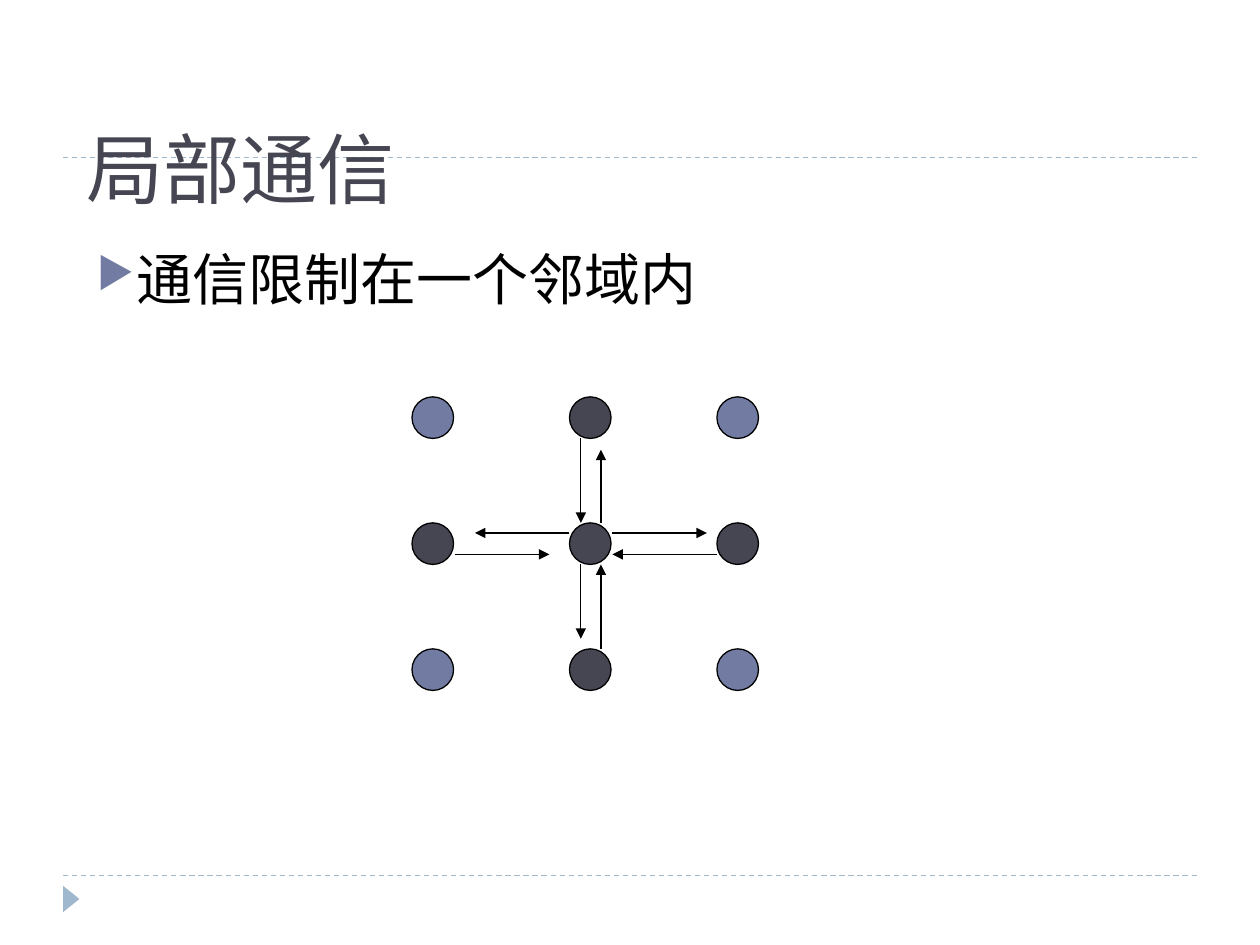
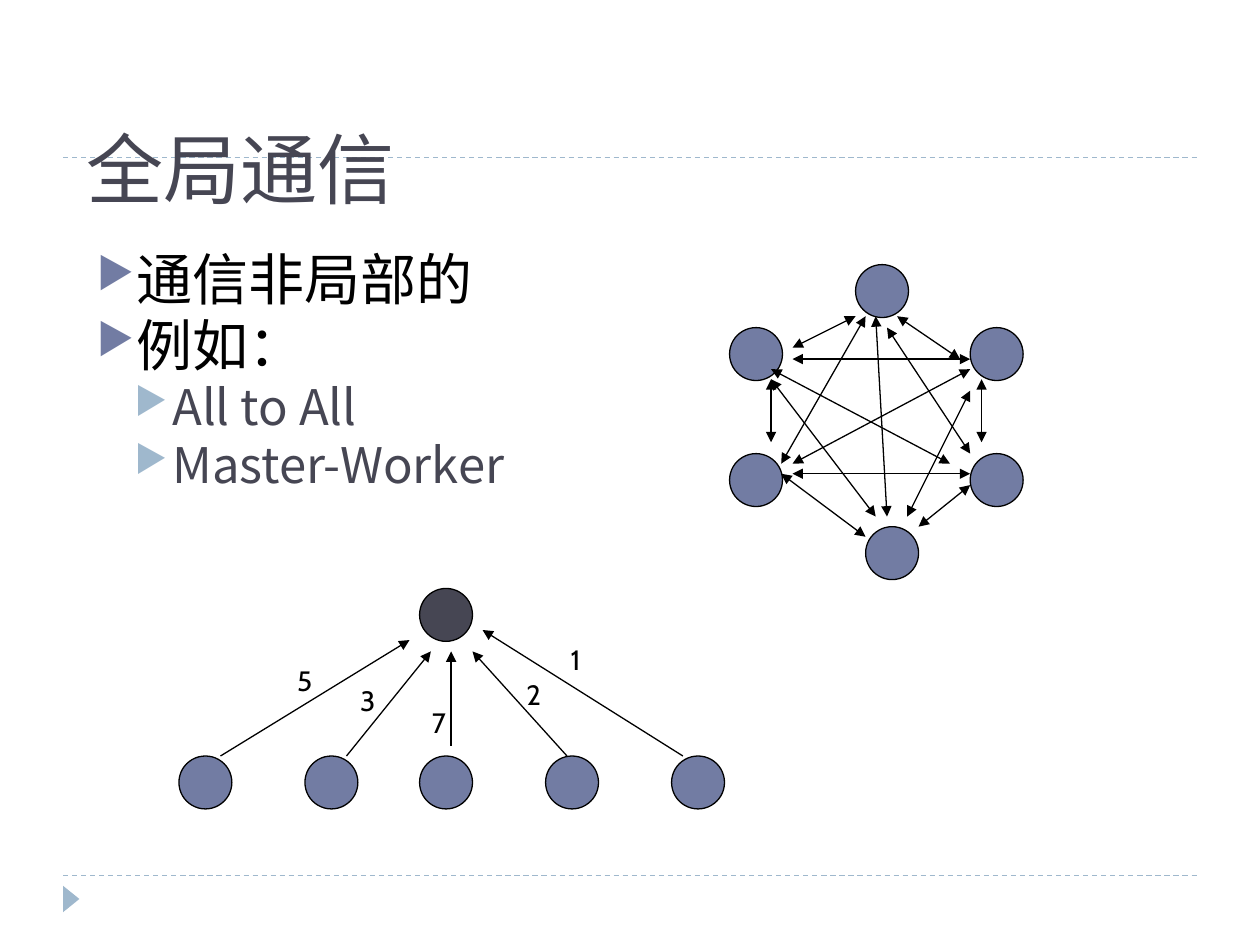
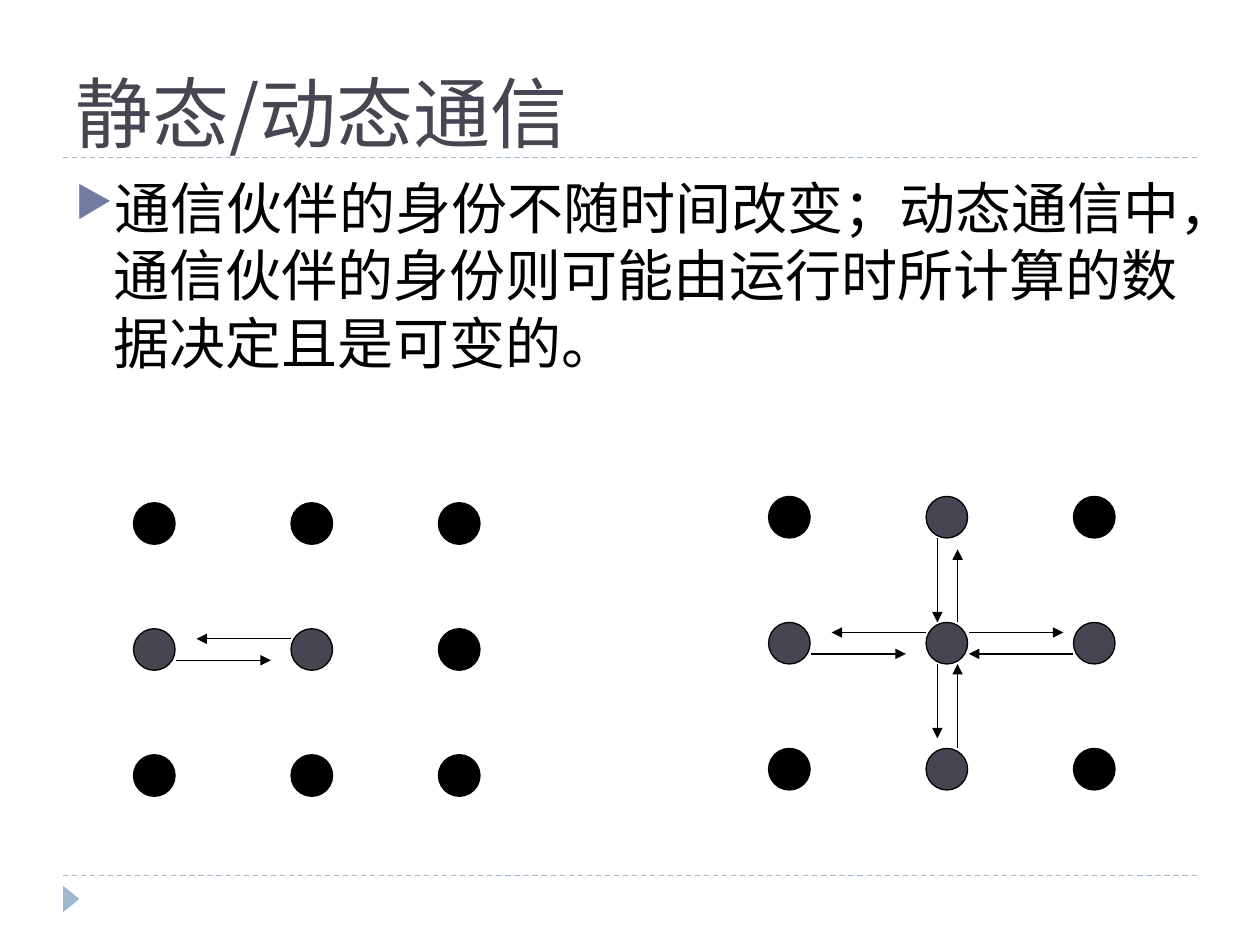
from typing import NamedTuple

from pptx import Presentation
from pptx.dml.color import RGBColor
from pptx.enum.dml import MSO_LINE
from pptx.enum.shapes import MSO_CONNECTOR, MSO_SHAPE
from pptx.enum.text import MSO_ANCHOR
from pptx.oxml.ns import qn
from pptx.shapes.shapetree import GroupShapes
from pptx.slide import Slide
from pptx.util import Inches, Pt
from lxml.etree import SubElement

DARK = RGBColor(0x46, 0x46, 0x53)
BLUE = RGBColor(0x72, 0x7C, 0xA3)
PALE = RGBColor(0x9F, 0xB8, 0xCD)
BLACK = RGBColor(0, 0, 0)
JP, SC = "Noto Sans CJK JP", "Noto Sans CJK SC"
LATIN, LABEL = "Calibri", "Cabin"


class Box(NamedTuple):
    left: float
    top: float
    width: float
    height: float


class Arrow(NamedTuple):
    x1: float
    y1: float
    x2: float
    y2: float


class Level(NamedTuple):
    size: int
    color: RGBColor
    bullet: RGBColor
    indent: float
    before: int


class Item(NamedTuple):
    text: str
    level: int = 0


class Tag(NamedTuple):
    text: str
    left: float
    top: float


LEVELS = [Level(32, BLACK, BLUE, 0.3, 6), Level(28, DARK, PALE, 0.6, 5)]
HIGH = Box(0.5, 0.17, 9, 1.08), Box(0.5, 1.33, 9, 5.4)
LOW = Box(0.59, 0.87, 8.58, 0.83), Box(0.67, 1.94, 8.66, 5.2)

COLS, ROWS = (0, 1.25, 2.42), (0, 1, 2)
LEFT = [Arrow(1.25, 1.08, 0.5, 1.08), Arrow(0.34, 1.25, 1.09, 1.25)]
CROSS = [
    Arrow(1.5, 1, 1.5, 0.42), Arrow(1.34, 0.33, 1.34, 1),
    Arrow(1.59, 1.08, 2.34, 1.08), Arrow(2.42, 1.25, 1.59, 1.25),
    Arrow(1.34, 1.33, 1.34, 1.92), Arrow(1.5, 2, 1.5, 1.33), *LEFT,
]
RING = [(5.79, 2.6), (5.79, 3.6), (6.87, 4.18), (7.7, 3.6), (7.7, 2.6), (6.79, 2.1)]
MESH = [
    Arrow(6.2, 3.68, 6.87, 2.51), Arrow(6.29, 3.68, 7.7, 2.93),
    Arrow(6.29, 3.76, 7.7, 3.76), Arrow(6.2, 3.76, 6.87, 4.26),
    Arrow(6.12, 3.51, 6.12, 3.01), Arrow(6.29, 2.76, 6.79, 2.51),
    Arrow(6.29, 2.85, 7.7, 2.85), Arrow(6.12, 2.93, 7.54, 3.68),
    Arrow(6.12, 3.01, 6.95, 4.1), Arrow(7.12, 2.51, 7.62, 2.85),
    Arrow(7.04, 2.6, 7.7, 3.6), Arrow(6.95, 2.51, 7.04, 4.1),
    Arrow(7.79, 3.01, 7.79, 3.51), Arrow(7.7, 3.85, 7.29, 4.18),
    Arrow(7.7, 3.1, 7.2, 4.1),
]
MASTER, WORKERS = (3.33, 4.67), (5.33, 4.33, 3.33, 2.42, 1.42)
REPLIES = [
    Arrow(1.75, 6, 3.25, 5.08), Arrow(2.75, 6, 3.42, 5.17),
    Arrow(3.58, 5.92, 3.58, 5.17), Arrow(4.5, 6, 3.75, 5.17),
    Arrow(5.42, 6, 3.83, 5),
]
TAGS = [
    Tag("5", 2.26, 5.22), Tag("3", 2.76, 5.38), Tag("7", 3.33, 5.55),
    Tag("2", 4.08, 5.33), Tag("1", 4.43, 5.05),
]


def place(box: Box) -> list:
    return [Inches(side) for side in box]


def add_line(shapes, arrow: Arrow, color: RGBColor = BLACK, ends: tuple = ()):
    line = shapes.add_connector(MSO_CONNECTOR.STRAIGHT, *[Inches(n) for n in arrow])
    line.line.color.rgb = color
    line.line.width = Pt(0.75)
    for end in ends:
        SubElement(line.line._get_or_add_ln(), qn(f"a:{end}"), type="triangle")
    SubElement(line._element.spPr, qn("a:effectLst"))
    return line


def add_dot(shapes: GroupShapes, left: float, top: float, size: float, fill: RGBColor) -> None:
    dot = shapes.add_shape(MSO_SHAPE.OVAL, *place(Box(left, top, size, size)))
    dot.shadow.inherit = False
    dot.fill.solid()
    dot.fill.fore_color.rgb = fill
    dot.line.color.rgb = BLACK
    dot.line.width = Pt(0.75)


def style(para, font: str, size: int, color: RGBColor) -> None:
    for run in para.runs:
        run.font.name = font
        run.font.size = Pt(size)
        run.font.color.rgb = color
        SubElement(run.font._element, qn("a:ea"), typeface=font)


def add_title(slide: Slide, text: str, box: Box, font: str) -> None:
    frame = slide.shapes.add_textbox(*place(box)).text_frame
    frame.word_wrap = True
    frame.vertical_anchor = MSO_ANCHOR.BOTTOM
    frame.margin_bottom = 0
    frame.text = text
    style(frame.paragraphs[0], font, 44, DARK)


def add_body(slide: Slide, items: list[Item], box: Box, font: str) -> None:
    frame = slide.shapes.add_textbox(*place(box)).text_frame
    frame.word_wrap = True
    frame.text = "\n".join(item.text for item in items)
    for para, item in zip(frame.paragraphs, items):
        level = LEVELS[item.level]
        para.level = item.level
        para.space_before = Pt(level.before)
        if font == JP:
            para.line_spacing = 0.83
            frame.margin_top = Inches(0.09)
        props = para._p.get_or_add_pPr()
        props.set("marL", str(Inches(level.indent)))
        props.set("indent", str(Inches(-0.3)))
        tint = SubElement(props, qn("a:buClr"))
        SubElement(tint, qn("a:srgbClr"), val=str(level.bullet))
        SubElement(props, qn("a:buSzPct"), val="76000")
        SubElement(props, qn("a:buChar"), char="▶")
        style(para, font, level.size, level.color)


def add_tag(shapes: GroupShapes, tag: Tag) -> None:
    frame = shapes.add_textbox(*place(Box(tag.left, tag.top, 0.32, 0.37))).text_frame
    frame.word_wrap = False
    frame.text = tag.text
    style(frame.paragraphs[0], LABEL, 16, BLACK)


def add_grid(slide: Slide, left: float, top: float, lit: str, rest: RGBColor,
             arrows: list[Arrow]) -> None:
    shapes = slide.shapes.add_group_shape().shapes
    for row, marks in zip(ROWS, lit.split()):
        for col, mark in zip(COLS, marks):
            add_dot(shapes, left + col, top + row, 0.33, DARK if mark == "x" else rest)
    for x1, y1, x2, y2 in arrows:
        add_line(shapes, Arrow(left + x1, top + y1, left + x2, top + y2), ends=("tailEnd",))


def add_mesh(slide: Slide) -> None:
    shapes = slide.shapes.add_group_shape().shapes
    for left, top in RING:
        add_dot(shapes, left, top, 0.42, BLUE)
    for arrow in MESH:
        add_line(shapes, arrow, ends=("headEnd", "tailEnd"))


def add_tree(slide: Slide) -> None:
    shapes = slide.shapes.add_group_shape().shapes
    add_dot(shapes, *MASTER, 0.42, DARK)
    for left in WORKERS:
        add_dot(shapes, left, 6, 0.42, BLUE)
    for arrow in REPLIES:
        add_line(shapes, arrow, ends=("tailEnd",))
    for tag in TAGS:
        add_tag(shapes, tag)


def add_page(deck, title: str, items: list[Item], boxes: tuple[Box, Box],
             fonts: tuple[str, str]) -> Slide:
    slide = deck.slides.add_slide(deck.slide_layouts[6])
    for y in (6.95, 1.25):
        rule = add_line(slide.shapes, Arrow(0.5, y, 9.5, y), PALE)
        rule.line.dash_style = MSO_LINE.DASH
    mark = slide.shapes.add_shape(MSO_SHAPE.ISOSCELES_TRIANGLE, *place(Box(0.46, 7.07, 0.21, 0.13)))
    mark.rotation = 90
    mark.shadow.inherit = False
    mark.fill.solid()
    mark.fill.fore_color.rgb = PALE
    mark.line.fill.background()
    add_title(slide, title, boxes[0], fonts[0])
    add_body(slide, items, boxes[1], fonts[1])
    return slide


def main() -> None:
    deck = Presentation()
    deck.slide_width, deck.slide_height = Inches(10), Inches(7.5)

    local = add_page(deck, "局部通信", [Item("通信限制在一个邻域内")], LOW, (JP, JP))
    add_grid(local, 3.27, 3.15, "oxo xxx oxo", BLUE, CROSS)

    items = [Item("通信非局部的"), Item("例如："), Item("All to All", 1), Item("Master-Worker", 1)]
    whole = add_page(deck, "全局通信", items, LOW, (JP, JP))
    add_mesh(whole)
    add_tree(whole)

    text = "通信伙伴的身份不随时间改变；动态通信中，通信伙伴的身份则可能由运行时所计算的数据决定且是可变的。"
    change = add_page(deck, "静态/动态通信", [Item(text)], HIGH, (SC, LATIN))
    add_grid(change, 6.1, 3.94, "oxo xxx oxo", BLACK, CROSS)
    add_grid(change, 1.06, 3.99, "ooo xxo ooo", BLACK, LEFT)

    deck.save("out.pptx")


if __name__ == "__main__":
    main()
